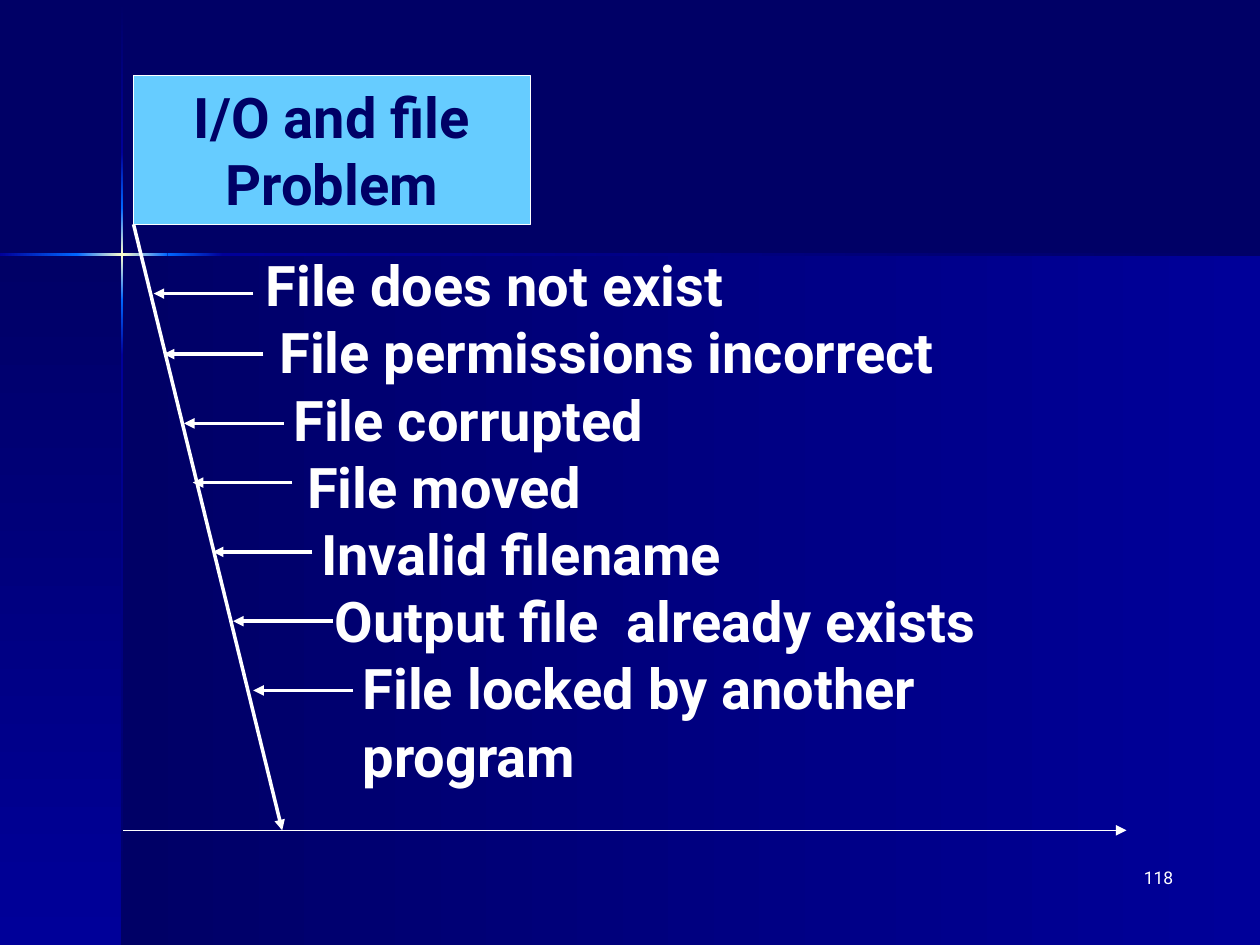
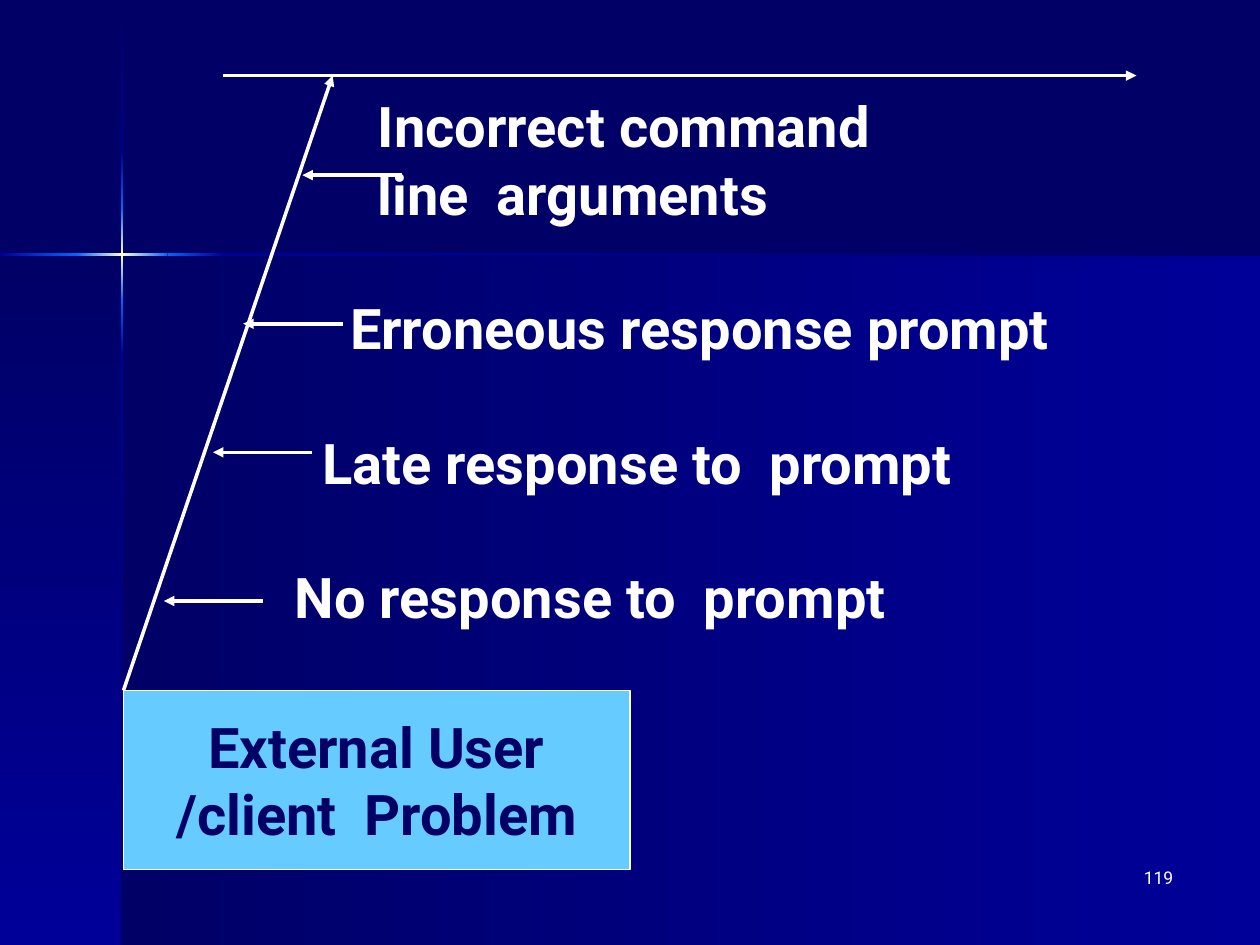
"""Build two fishbone slides on file problems and user problems."""
import itertools

import pptx
import pptx.dml.color
import pptx.enum.shapes
import pptx.enum.text
import pptx.oxml.ns
import pptx.util
from lxml import etree

Inches = pptx.util.Inches
Align = pptx.enum.text.PP_ALIGN
Anchor = pptx.enum.text.MSO_ANCHOR

FONT = "Roboto"
NAVY, BLUE, BRIGHT, CREAM = "000066", "000099", "0066FF", "FFFFCC"
SKY, WHITE = "66CCFF", "FFFFFF"
CROSS_X, CROSS_Y = 0.97, 2.02
GLOW_WIDTH = 0.02
ARROW_LENGTH = 0.79
INDENT_STEP = 0.11
ROW_GAP = 38.5

GLOW_DOWN = [(0.01, NAVY), (1.21, BLUE), (1.65, BRIGHT), (CROSS_Y, CREAM),
             (2.38, BRIGHT), (2.82, BLUE), (7.5, NAVY)]
GLOW_ACROSS = [(0, BLUE), (0.61, BRIGHT), (CROSS_X, CREAM),
               (1.33, BRIGHT), (1.77, BLUE), (10, NAVY)]

FILE_CAUSES = [("File does not exist", 0, 0), ("File permissions incorrect", 1, 0),
               ("File corrupted", 2, 0), ("File moved", 3, 0),
               ("Invalid filename", 4, 0), ("Output file  already exists", 5, 0),
               ("File locked by another", 7, 0), ("program", 7, 0)]
FILE_TIPS = [(1.22, 2.33), (1.3, 2.81), (1.46, 3.36), (1.53, 3.83),
             (1.69, 4.38), (1.85, 4.93), (2.01, 5.48)]

USER_CAUSES = [("Incorrect command", 6, 0), ("line  arguments", 6, 0),
               ("Erroneous response prompt", 4, ROW_GAP),
               ("Late response to  prompt", 2, ROW_GAP),
               ("No response to  prompt", 0, ROW_GAP)]
USER_TIPS = [(2.4, 1.39), (1.93, 2.57), (1.69, 3.59), (1.3, 4.77)]


def colour(value):
    """Turn a hex string into a colour."""
    return pptx.dml.color.RGBColor.from_string(value)


def add_rectangle(page, left, top, width, height):
    """Add a rectangle without shadow."""
    shape = page.shapes.add_shape(pptx.enum.shapes.MSO_SHAPE.RECTANGLE, Inches(left),
                                  Inches(top), Inches(width), Inches(height))
    shape.shadow.inherit = False
    return shape


def add_gradient(page, left, top, width, height, start, end, downward=False):
    """Add a borderless rectangle fading rightward or downward."""
    shape = add_rectangle(page, left, top, width, height)
    shape.line.fill.background()
    shape.fill.gradient()
    shape.fill.gradient_angle = 270 if downward else 0
    for stop, value in zip(shape.fill.gradient_stops, (start, end)):
        stop.color.rgb = colour(value)


def add_backdrop(page):
    """Paint the navy background, both panels and the glowing cross."""
    page.background.fill.solid()
    page.background.fill.fore_color.rgb = colour(NAVY)
    panel_height = 7.5 - CROSS_Y
    add_gradient(page, CROSS_X, CROSS_Y, 10 - CROSS_X, panel_height, NAVY, BLUE)
    add_gradient(page, 0, CROSS_Y, CROSS_X, panel_height, NAVY, BLUE, downward=True)
    for (top, start), (bottom, end) in itertools.pairwise(GLOW_DOWN):
        add_gradient(page, CROSS_X - GLOW_WIDTH / 2, top, GLOW_WIDTH, bottom - top,
                     start, end, downward=True)
    for (left, start), (right, end) in itertools.pairwise(GLOW_ACROSS):
        add_gradient(page, left, CROSS_Y - GLOW_WIDTH / 2, right - left, GLOW_WIDTH,
                     start, end)


def write_text(para, text, size=32, bold=True, ink=WHITE, align=Align.LEFT,
               indent=0, before=0):
    """Write one formatted paragraph."""
    para.alignment = align
    para.space_before = pptx.util.Pt(before)
    properties = para._p.get_or_add_pPr()
    properties.set("marL", str(Inches(indent)))
    properties.set("indent", "0")
    span = para.add_run()
    span.text = text
    span.font.name = FONT
    span.font.size = pptx.util.Pt(size)
    span.font.bold = bold
    span.font.color.rgb = colour(ink)


def next_paragraph(frame, index):
    """Return the first paragraph, or a new one after it."""
    return frame.add_paragraph() if index else frame.paragraphs[0]


def add_text_box(page, left, top, width, height):
    """Add a wrapping text box and return its frame."""
    box = page.shapes.add_textbox(Inches(left), Inches(top), Inches(width), Inches(height))
    box.text_frame.word_wrap = True
    return box.text_frame


def add_problem(page, left, top, width, height, lines):
    """Add the light blue box that names the problem."""
    box = add_rectangle(page, left, top, width, height)
    box.fill.solid()
    box.fill.fore_color.rgb = colour(SKY)
    box.line.color.rgb = colour(WHITE)
    box.line.width = pptx.util.Pt(0.75)
    box.text_frame.word_wrap = True
    box.text_frame.vertical_anchor = Anchor.MIDDLE
    for index, line in enumerate(lines):
        write_text(next_paragraph(box.text_frame, index), line, ink=NAVY,
                   align=Align.CENTER)


def add_causes(page, left, top, width, height, causes):
    """Add the list of causes, each indented along the spine."""
    frame = add_text_box(page, left, top, width, height)
    for index, (text, steps, before) in enumerate(causes):
        write_text(next_paragraph(frame, index), text, indent=steps * INDENT_STEP,
                   before=before)


def add_arrow(page, start, end, weight=2):
    """Add a white arrow pointing at its end."""
    arrow = page.shapes.add_connector(pptx.enum.shapes.MSO_CONNECTOR.STRAIGHT,
                                      *map(Inches, start + end))
    arrow.line.color.rgb = colour(WHITE)
    arrow.line.width = pptx.util.Pt(weight)
    qualify = pptx.oxml.ns.qn
    etree.SubElement(arrow.line._get_or_add_ln(), qualify("a:tailEnd"), type="triangle")
    etree.SubElement(arrow._element.spPr, qualify("a:effectLst"))


def add_cause_arrows(page, tips):
    """Add one short arrow to the spine for each tip."""
    for x, y in tips:
        add_arrow(page, (x + ARROW_LENGTH, y), (x, y))


def add_page_number(page, number):
    """Add the page number at the lower right."""
    frame = add_text_box(page, 7.33, 6.83, 2.08, 0.5)
    write_text(frame.paragraphs[0], str(number), size=10, bold=False, align=Align.RIGHT)


def add_page(deck, number):
    """Add a blank page with the shared backdrop and number."""
    page = deck.slides.add_slide(deck.slide_layouts[6])
    add_backdrop(page)
    add_page_number(page, number)
    return page


def build_file_page(deck):
    """Build the page on input, output and file problems."""
    page = add_page(deck, 118)
    add_problem(page, 1.06, 0.6, 3.15, 1.18, ["I/O and file", "Problem"])
    add_arrow(page, (0.98, 1.78), (0.98, 1.78), weight=0.75)
    add_arrow(page, (1.06, 1.78), (2.24, 6.59))
    add_causes(page, 2.01, 1.94, 7.56, 4.37, FILE_CAUSES)
    add_cause_arrows(page, FILE_TIPS)
    add_arrow(page, (0.98, 6.59), (8.94, 6.59), weight=0.75)


def build_user_page(deck):
    """Build the page on external user problems."""
    page = add_page(deck, 119)
    add_problem(page, 0.98, 5.48, 4.02, 1.42, ["External User", "/client  Problem"])
    add_arrow(page, (0.98, 5.48), (2.64, 0.6))
    add_causes(page, 2.24, 0.68, 7.76, 4.37, USER_CAUSES)
    add_cause_arrows(page, USER_TIPS)
    add_arrow(page, (1.77, 0.6), (9.02, 0.6))


def main():
    """Build and save the deck."""
    deck = pptx.Presentation()
    deck.slide_width, deck.slide_height = Inches(10), Inches(7.5)
    build_file_page(deck)
    build_user_page(deck)
    deck.save("out.pptx")


if __name__ == "__main__":
    main()
